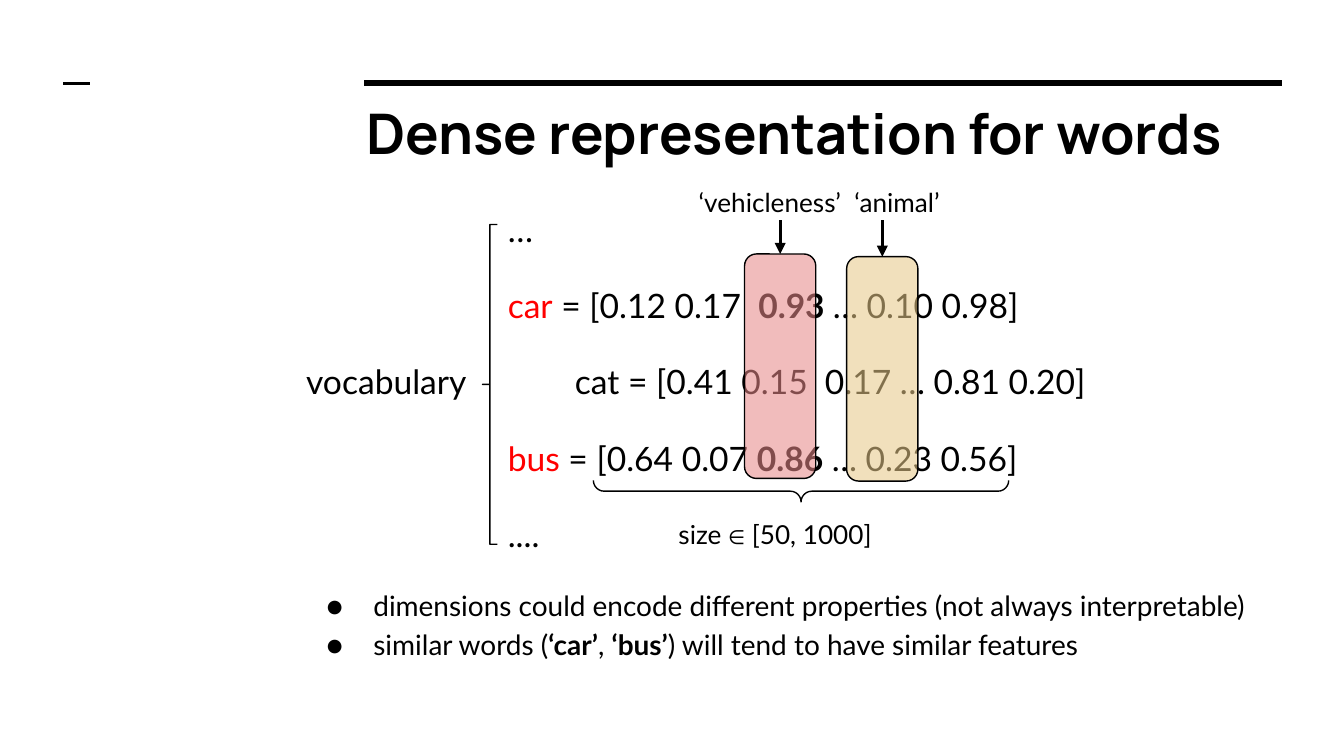
from typing import NamedTuple

from lxml.etree import SubElement
from pptx import Presentation
from pptx.dml.color import RGBColor
from pptx.enum.shapes import MSO_CONNECTOR, MSO_SHAPE
from pptx.enum.text import MSO_ANCHOR
from pptx.oxml.ns import qn
from pptx.util import Inches, Pt

BLACK = RGBColor(0x00, 0x00, 0x00)
RED = RGBColor(0xFF, 0x00, 0x00)
PINK = RGBColor(0xE7, 0x88, 0x88)
SAND = RGBColor(0xE7, 0xC8, 0x88)
BODY_FONT, TITLE_FONT, SYMBOL_FONT = "Lato", "Manrope", "DejaVu Sans"

# A 16:9 slide on a grid of 100 columns by 56.25 rows
WIDTH = Inches(10)
HEIGHT = WIDTH * 9 // 16
COLUMN, ROW = WIDTH / 100, HEIGHT / 56.25


class Box(NamedTuple):
    left: float
    top: float
    width: float
    height: float

    def inner(self, left, top, width, height):
        return Box(self.left + left, self.top + top, width, height)

    def lengths(self):
        return (round(self.left * COLUMN), round(self.top * ROW),
                round(self.width * COLUMN), round(self.height * ROW))


class Span(NamedTuple):
    text: str
    bold: bool = False
    color: RGBColor = None
    font: str = None
    size: float = None


def add_text_frame(page, box):
    frame = page.shapes.add_textbox(*box.lengths()).text_frame
    frame.word_wrap = True
    frame.vertical_anchor = MSO_ANCHOR.TOP
    frame.margin_left = frame.margin_right = round(COLUMN)
    frame.margin_top = frame.margin_bottom = round(ROW)
    return frame


def fill_para(para, spans, size, font=BODY_FONT, bold=False):
    para.font.name = font
    para.font.size = Pt(size)
    para.font.bold = bold
    para.font.color.rgb = BLACK
    for span in spans:
        run = para.add_run()
        run.text = span.text
        if span.bold:
            run.font.bold = True
        if span.color is not None:
            run.font.color.rgb = span.color
        if span.font:
            run.font.name = span.font
        if span.size:
            run.font.size = Pt(span.size)


def add_label(page, box, spans, size=14, **style):
    fill_para(add_text_frame(page, box).paragraphs[0], spans, size, **style)


def add_line(page, start, end, weight, arrow=False):
    line = page.shapes.add_connector(
        MSO_CONNECTOR.STRAIGHT,
        round(start[0] * COLUMN), round(start[1] * ROW),
        round(end[0] * COLUMN), round(end[1] * ROW))
    line.line.color.rgb = BLACK
    line.line.width = Pt(weight)
    if arrow:
        SubElement(line.line._get_or_add_ln(), qn("a:tailEnd"), type="triangle")
    SubElement(line._element.spPr, qn("a:effectLst"))


def add_outline(page, kind, box, adjustments):
    shape = page.shapes.add_shape(kind, *box.lengths())
    shape.shadow.inherit = False
    shape.fill.background()
    shape.line.color.rgb = BLACK
    shape.line.width = Pt(0.75)
    for index, value in enumerate(adjustments):
        shape.adjustments[index] = value
    return shape


def add_header(page, box):
    # Rules above the title
    right = box.left + box.width
    add_line(page, (box.left + 22.4, box.top), (right, box.top), 3)
    add_line(page, (box.left, box.top), (box.left + 2, box.top), 1.5)
    add_label(page, box.inner(21.55, 0.1, 69.1, 6.9),
              [Span("Dense representation for words")], 30, font=TITLE_FONT, bold=True)


def set_indent(properties, margin, first_line):
    properties.set("marL", str(round(margin * COLUMN)))
    properties.set("indent", str(round(first_line * COLUMN)))


def add_bullet(properties, size):
    color = SubElement(properties, qn("a:buClr"))
    SubElement(color, qn("a:srgbClr"), val=str(BLACK))
    SubElement(properties, qn("a:buSzPts"), val=str(size * 100))
    SubElement(properties, qn("a:buFont"), typeface=BODY_FONT)
    SubElement(properties, qn("a:buChar"), char="●")


def add_tab(properties, position):
    tabs = SubElement(properties, qn("a:tabLst"))
    SubElement(tabs, qn("a:tab"), pos=str(round(position * COLUMN)), algn="l")


def add_body(page, box):
    vectors = [
        [Span("…")],
        [Span("car", color=RED), Span(" = [0.12 0.17  "),
         Span("0.93 ", bold=True), Span("… 0.10 0.98]")],
        [Span("vocabulary\tcat = [0.41 0.15  0.17 … 0.81 0.20]")],
        [Span("bus", color=RED), Span(" = [0.64 0.07 "),
         Span("0.86", bold=True), Span(" … 0.23 0.56]")],
        [Span("....")],
    ]
    remarks = [
        [Span("dimensions could encode different properties (not always interpretable)")],
        [Span("similar words ("), Span("‘car’", bold=True), Span(", "),
         Span("‘bus’", bold=True), Span(") will tend to have similar features")],
    ]
    frame = add_text_frame(page, box)
    for index, spans in enumerate(vectors + remarks):
        para = frame.paragraphs[0] if index == 0 else frame.add_paragraph()
        para.line_spacing = 1.15
        if 0 < index <= len(vectors):
            para.space_before = Pt(16)
        properties = para._p.get_or_add_pPr()
        size = 18 if index < len(vectors) else 15
        if index >= len(vectors):
            set_indent(properties, 5, -3.5)
            add_bullet(properties, size)
        elif "\t" in spans[0].text:
            add_tab(properties, 20)
        else:
            set_indent(properties, 10, 5)
        fill_para(para, spans, size)


def add_braces(page, box):
    # Bracket for the vocabulary, brace for the vector size
    add_outline(page, MSO_SHAPE.LEFT_BRACE, box.inner(0, 0, 1.1, 23.8), [0, 0.5])
    brace = add_outline(page, MSO_SHAPE.RIGHT_BRACE,
                        box.inner(22.9, 4.4, 1.6, 30.9), [0.5, 0.5])
    brace.rotation = 90
    add_label(page, box.inner(13.6, 20.9, 26.3, 3.8),
              [Span("size "), Span("∈", font=SYMBOL_FONT, size=10.5), Span(" [50, 1000]")])


def add_feature(page, box, name, label_left, label_width, color):
    # Tinted column over the numbers, with its label and arrow
    column = add_outline(page, MSO_SHAPE.ROUNDED_RECTANGLE, box, [0.167])
    column.fill.solid()
    column.fill.fore_color.rgb = color
    tint = column._element.spPr.find(qn("a:solidFill"))[0]
    SubElement(tint, qn("a:alpha"), val="56000")
    label = Box(label_left, 12.9, label_width, 3.5)
    add_label(page, label, [Span(name)])
    middle = box.left + box.width / 2
    add_line(page, (middle, label.top + label.height), (middle, box.top), 1.5, arrow=True)


def main():
    deck = Presentation()
    deck.slide_width, deck.slide_height = WIDTH, HEIGHT
    page = deck.slides.add_slide(deck.slide_layouts[6])
    add_header(page, Box(4.7, 6.2, 90.7, 7))
    add_body(page, Box(21.8, 14.1, 73.7, 29.1))
    add_braces(page, Box(35.9, 16.7, 40, 24.7))
    add_feature(page, Box(55.4, 18.9, 5.3, 16.7), "‘vehicleness’", 51, 14.2, PINK)
    add_feature(page, Box(63, 19.1, 5.3, 16.7), "‘animal’", 62.6, 9, SAND)
    deck.save("out.pptx")


if __name__ == "__main__":
    main()
